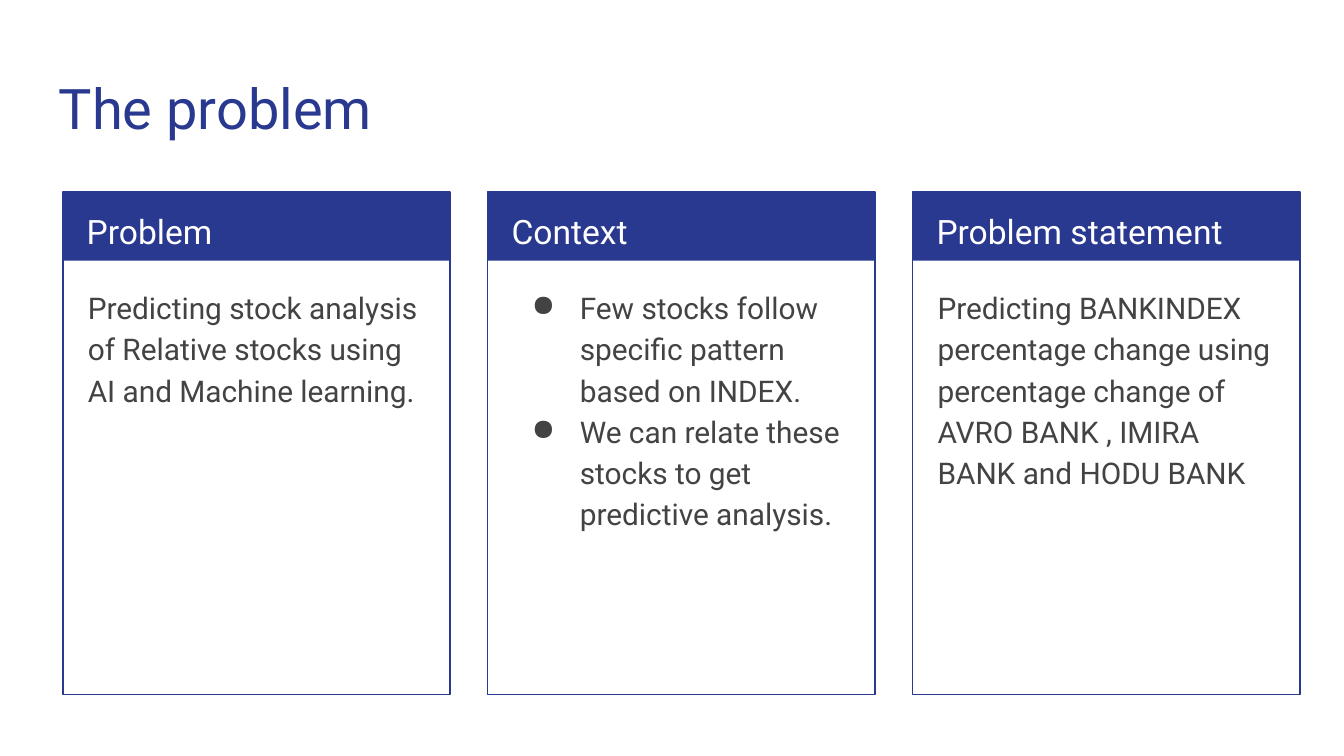
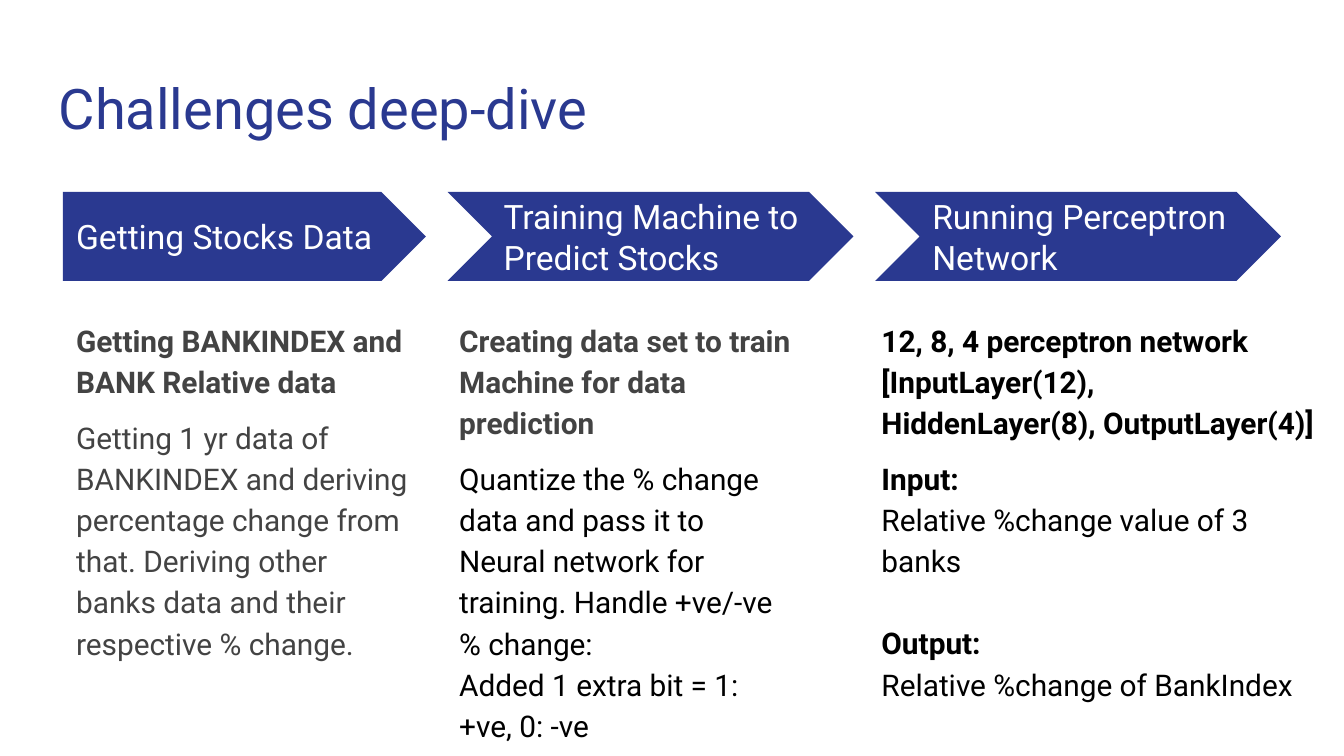
import pptx
import pptx.dml.color
import pptx.enum.shapes
import pptx.enum.text
import pptx.util
from lxml import etree
from pptx.util import Cm

NAVY, GRAY, BLACK, WHITE = "2A3990", "434343", "000000", "FFFFFF"
FONT = "Roboto"
SHAPE = pptx.enum.shapes.MSO_SHAPE
ANCHOR = pptx.enum.text.MSO_ANCHOR
BAND_TOP = 3.63
LEFT = 1.19


def block(slide, kind, left, top, width, height, fill=None, line=None):
    shape = slide.shapes.add_shape(kind, Cm(left), Cm(top), Cm(width), Cm(height))
    shape.shadow.inherit = False
    for ink, color in ((shape.fill, fill), (shape.line.fill, line)):
        if color:
            ink.solid()
            ink.fore_color.rgb = pptx.dml.color.RGBColor.from_string(color)
        else:
            ink.background()
    if line:
        shape.line.width = pptx.util.Pt(0.75)


def write(slide, left, top, width, height, lines, size, spacing=1.15, anchor=ANCHOR.TOP):
    frame = slide.shapes.add_textbox(Cm(left), Cm(top), Cm(width), Cm(height)).text_frame
    frame.word_wrap = True
    frame.vertical_anchor = anchor
    frame.margin_left = frame.margin_right = Cm(0.25)
    frame.margin_top = frame.margin_bottom = Cm(0.25)
    frame.text = "\n".join(line[0] for line in lines)
    for paragraph, (_, color, bold, before) in zip(frame.paragraphs, lines):
        paragraph.line_spacing = spacing
        paragraph.space_before = pptx.util.Pt(before)
        font = paragraph.runs[0].font
        font.name = FONT
        font.size = pptx.util.Pt(size)
        font.bold = bold
        font.color.rgb = pptx.dml.color.RGBColor.from_string(color)
    return frame


deck = pptx.Presentation()
deck.slide_width, deck.slide_height = Cm(25.4), Cm(14.29)

slides = []
for title in ("The problem", "Challenges deep-dive"):
    slide = deck.slides.add_slide(deck.slide_layouts[6])
    write(slide, 0.86, 1.14, 23.67, 1.68, [(title, NAVY, False, 0)], 30, 1.0)
    slides.append(slide)
problem, challenges = slides

cards = [
    ("Problem", ["Predicting stock analysis of Relative stocks using AI and Machine learning."]),
    ("Context", ["Few stocks follow specific pattern based on INDEX.",
                 "We can relate these stocks to get predictive analysis."]),
    ("Problem statement", ["Predicting BANKINDEX percentage change using percentage change of "
                           "AVRO BANK , IMIRA BANK and HODU BANK"]),
]
for column, (heading, points) in enumerate(cards):
    left = LEFT + column * 8.03
    block(problem, SHAPE.RECTANGLE, left, BAND_TOP, 7.32, 1.3, fill=NAVY)
    block(problem, SHAPE.RECTANGLE, left, BAND_TOP, 7.32, 9.5, line=NAVY)
    write(problem, left + 0.2, BAND_TOP, 6.93, 1.27, [(heading, WHITE, False, 0)], 18)
    details = write(problem, left + 0.22, 5.13, 6.88, 7.77,
                    [(point, GRAY, False, 0) for point in points], 16)
    if len(points) > 1:
        for paragraph in details.paragraphs:
            properties = paragraph._p.get_or_add_pPr()
            properties.set("marL", str(Cm(1.27)))
            properties.set("indent", str(Cm(-0.91)))
            bullet = etree.SubElement(properties, pptx.oxml.ns.qn("a:buChar"))
            bullet.set("char", "●")

steps = [
    ("Getting Stocks Data", SHAPE.PENTAGON, LEFT, 6.86, LEFT, LEFT, 6.86, 7.37, [
        ("Getting BANKINDEX and BANK Relative data", GRAY, True, 0),
        ("Getting 1 yr data of BANKINDEX and deriving percentage change from that. "
         "Deriving other banks data and their respective % change.", GRAY, False, 8),
    ]),
    ("Training Machine to Predict Stocks", SHAPE.CHEVRON, 8.46, 7.67, 9.27, 8.43, 6.86, 7.87, [
        ("Creating data set to train Machine for data prediction", GRAY, True, 0),
        ("Quantize the % change data and pass it to Neural network for training. "
         "Handle +ve/-ve % change:", BLACK, False, 8),
        ("Added 1 extra bit = 1: +ve, 0: -ve", BLACK, False, 0),
    ]),
    ("Running Perceptron Network", SHAPE.CHEVRON, 16.54, 7.67, 17.37, 16.41, 8.71, 8.28, [
        ("12, 8, 4 perceptron network [InputLayer(12), HiddenLayer(8), OutputLayer(4)]",
         BLACK, True, 0),
        ("Input:", BLACK, True, 8),
        ("Relative %change value of 3 banks", BLACK, False, 0),
        ("Output:", BLACK, True, 22),
        ("Relative %change of BankIndex", BLACK, False, 0),
    ]),
]
for heading, arrow, left, width, heading_left, notes_left, notes_width, notes_height, notes in steps:
    block(challenges, arrow, left, BAND_TOP, width, 1.68, fill=NAVY)
    write(challenges, heading_left, 4.04, 6.27, 0.86, [(heading, WHITE, False, 0)],
          18, 1.0, ANCHOR.MIDDLE)
    write(challenges, notes_left, 5.74, notes_width, notes_height, notes, 16)

deck.save("out.pptx")
